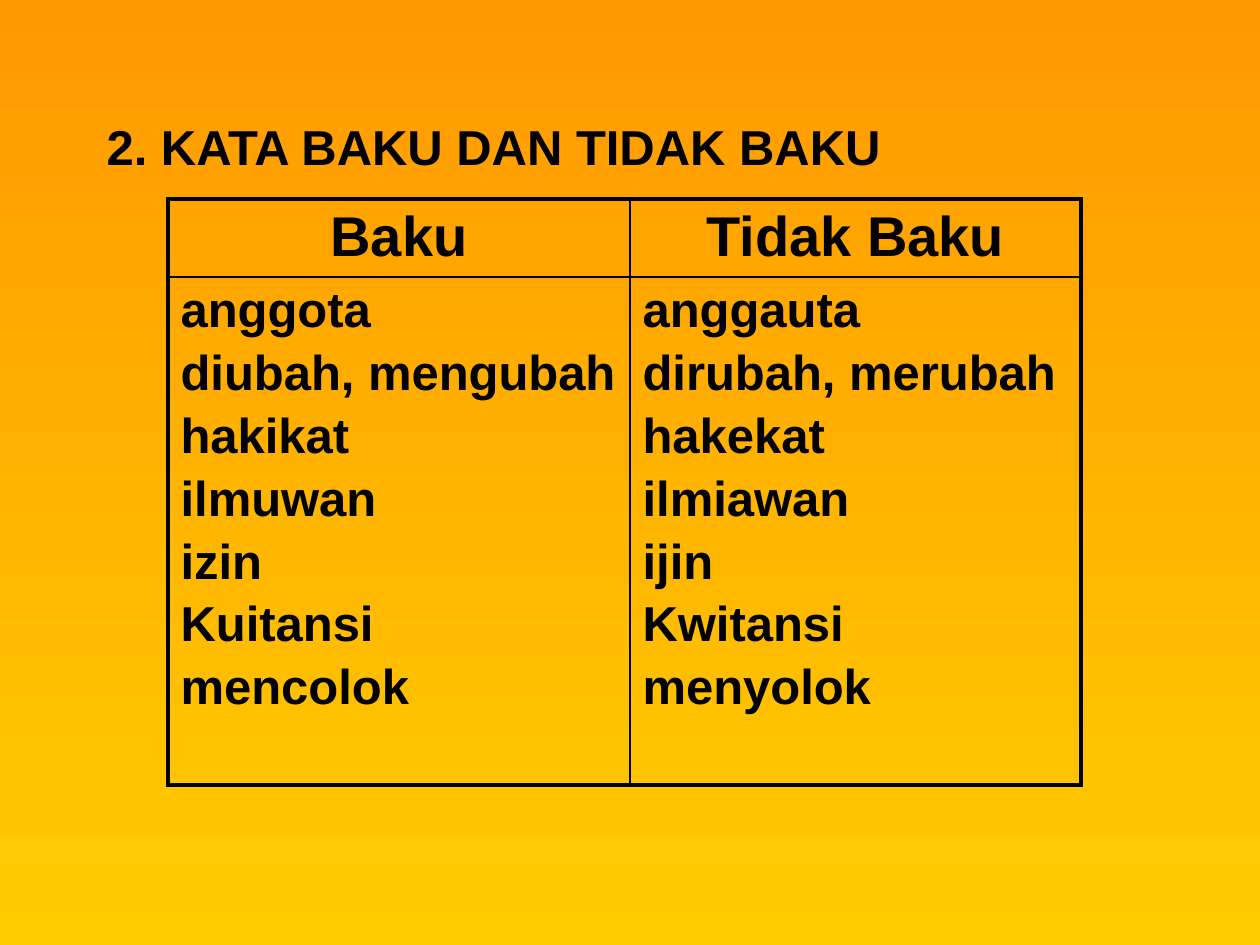
"""Build a slide with a table of standard and non-standard Indonesian words."""
from lxml import etree
from pptx import Presentation, util as u
from pptx.dml.color import RGBColor
from pptx.enum import text
from pptx.oxml.ns import qn

TITLE = "2. KATA BAKU DAN TIDAK BAKU"
HEADERS = ("Baku", "Tidak Baku")
WORDS = [
    ("anggota", "anggauta"),
    ("diubah, mengubah", "dirubah, merubah"),
    ("hakikat", "hakekat"),
    ("ilmuwan", "ilmiawan"),
    ("izin", "ijin"),
    ("Kuitansi", "Kwitansi"),
    ("mencolok", "menyolok"),
]
THEME = {
    "font": "Arial", "ink": "000000", "background": ("FF9900", "FFCC00"),
    "title": 28, "header": 32, "word": 28, "gap": 4.7,
    "outer": 2.25, "inner": 1,
}
SLIDE = (1260, 945)
TITLE_BOX = (94, 110, 998, 80)
TABLE_AT = (168, 199)
COLUMNS = (462, 451)
ROWS = (78, 508)


def px(n):
    return round(n * u.Inches(1) / 126)


def write(tf, lines, size, align):
    for i, line in enumerate(lines):
        p = tf.paragraphs[0] if i == 0 else tf.add_paragraph()
        p.alignment = align
        p.space_before = u.Pt(THEME["gap"] if i else 0)
        r = p.add_run()
        r.text = line
        r.font.color.rgb = RGBColor.from_string(THEME["ink"])
        for name, value in {"name": THEME["font"], "size": u.Pt(size), "bold": True}.items():
            setattr(r.font, name, value)


def set_borders(cell, row, col):
    outer = {"lnL": col == 0, "lnR": col == len(COLUMNS) - 1,
             "lnT": row == 0, "lnB": row == len(ROWS) - 1}
    tc_pr = cell._tc.get_or_add_tcPr()
    for i, (tag, is_outer) in enumerate(outer.items()):
        width = u.Pt(THEME["outer" if is_outer else "inner"])
        ln = etree.Element(qn(f"a:{tag}"), w=str(width))
        fill = etree.SubElement(ln, qn("a:solidFill"))
        etree.SubElement(fill, qn("a:srgbClr"), val=THEME["ink"])
        tc_pr.insert(i, ln)


def add_word_table(s):
    size = (sum(COLUMNS), sum(ROWS))
    table = s.shapes.add_table(len(ROWS), len(COLUMNS), *map(px, TABLE_AT + size)).table
    table.first_row = table.horz_banding = False
    for parts, attr, lengths in ((table.columns, "width", COLUMNS), (table.rows, "height", ROWS)):
        for part, length in zip(parts, lengths):
            setattr(part, attr, px(length))
    for col, (header, words) in enumerate(zip(HEADERS, zip(*WORDS))):
        contents = (([header], THEME["header"], text.PP_ALIGN.CENTER),
                    (words, THEME["word"], text.PP_ALIGN.LEFT))
        for row, content in enumerate(contents):
            cell = table.cell(row, col)
            cell.fill.background()
            set_borders(cell, row, col)
            write(cell.text_frame, *content)


def main():
    prs = Presentation()
    prs.slide_width, prs.slide_height = map(px, SLIDE)
    s = prs.slides.add_slide(prs.slide_layouts[5])

    fill = s.background.fill
    fill.gradient()
    fill.gradient_angle = 270
    for stop, color in zip(fill.gradient_stops, THEME["background"]):
        stop.color.rgb = RGBColor.from_string(color)

    sp = s.shapes.title
    sp.left, sp.top, sp.width, sp.height = map(px, TITLE_BOX)
    tf = sp.text_frame
    tf.auto_size = text.MSO_AUTO_SIZE.NONE
    tf.vertical_anchor = text.MSO_ANCHOR.TOP
    write(tf, [TITLE], THEME["title"], text.PP_ALIGN.LEFT)

    add_word_table(s)
    prs.save("out.pptx")


if __name__ == "__main__":
    main()
